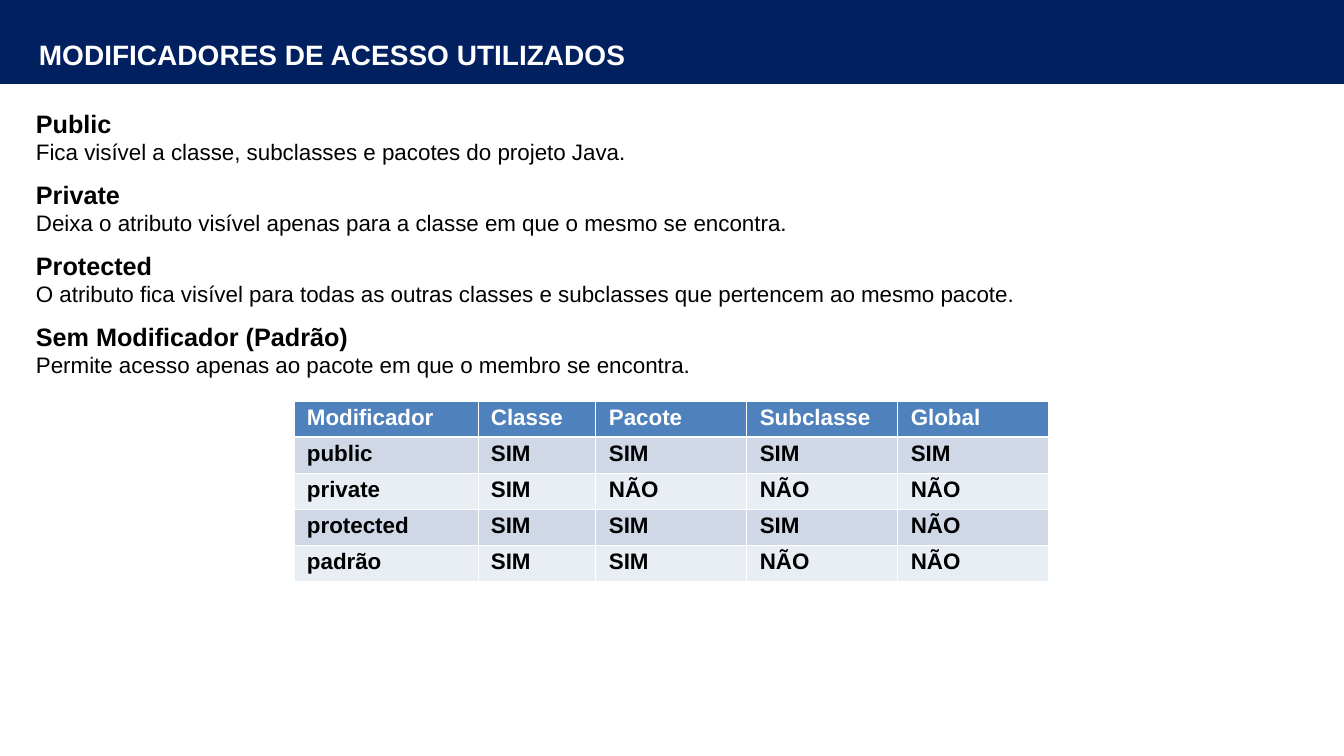
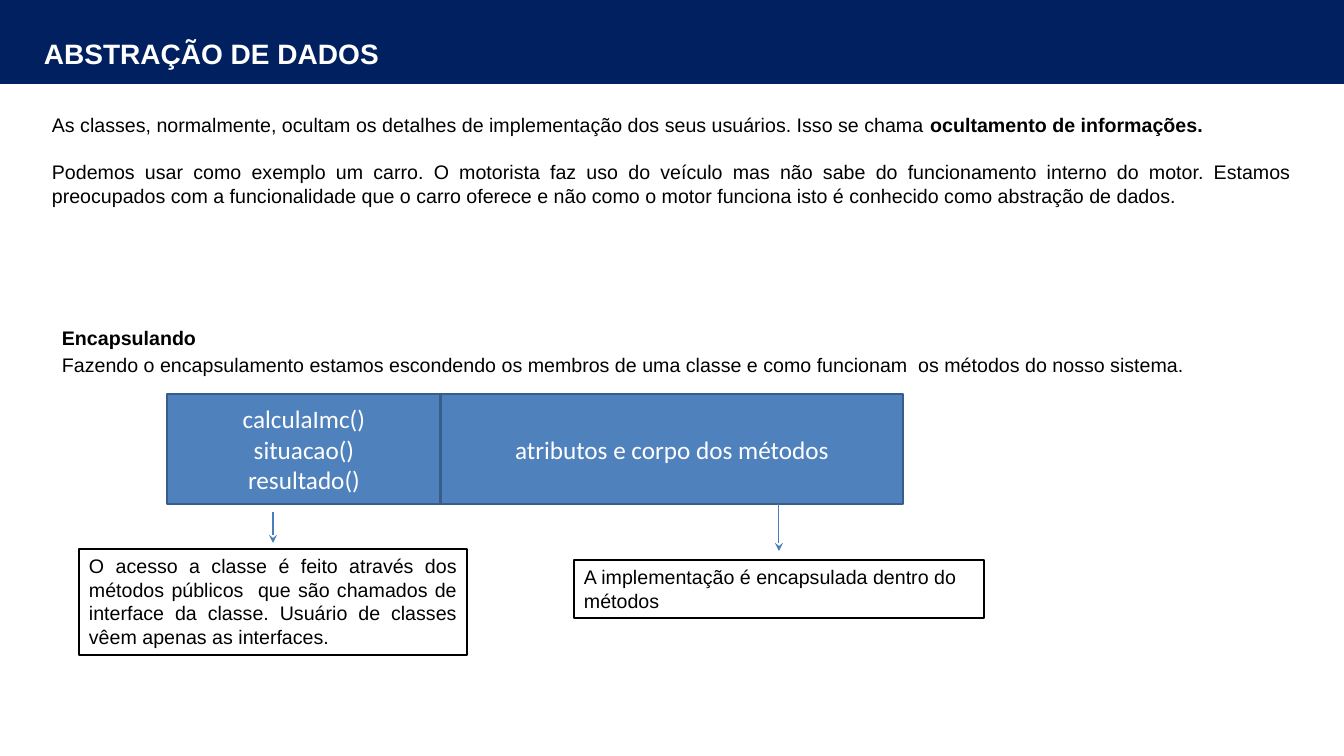
from dataclasses import dataclass

from lxml.etree import SubElement
from pptx import Presentation
from pptx.dml.color import RGBColor as Rgb
from pptx.enum.shapes import MSO_CONNECTOR as Conn, MSO_SHAPE as Kind
from pptx.enum.text import MSO_ANCHOR as Anchor, PP_ALIGN as Align
from pptx.oxml.ns import qn
from pptx.slide import Slide
from pptx.text.text import TextFrame as Frame
from pptx.util import Emu, Pt

SCALE = 914400 / 100.8
WIDE, HIGH = 1344, 756
BAND = 84
HUES = {
    "navy": "002060", "blue": "4F81BD", "edge": "385D8A", "arrow": "4A7EBB",
    "dark": "D0D8E8", "pale": "E9EDF4", "white": "FFFFFF", "black": "000000",
}


@dataclass(frozen=True)
class Area:
    """A place on the slide, in pixels."""
    x: int
    y: int
    w: int
    h: int


@dataclass(frozen=True)
class Style:
    """How a block of text looks."""
    size: int = 14
    hue: str = "black"
    bold: bool = False
    font: str = "Arial"
    align: Align = Align.LEFT
    anchor: Anchor = Anchor.TOP
    before: int = 0
    lead: float = 1.0


@dataclass(frozen=True)
class Box:
    """A filled rectangle with text."""
    area: Area
    text: str
    fill: str
    edge: str
    style: Style


@dataclass(frozen=True)
class Arrow:
    """A downward arrow."""
    x: int
    top: int
    end: int


PLAIN = Style()
EVEN = Style(align=Align.JUSTIFY)
TITLE = Style(20, "white", True, anchor=Anchor.MIDDLE)
BODY = Style(16, before=10)
HEAD = Style(16, "white", True, lead=0.93)
CELL = Style(16, bold=True, lead=0.93)
PART = Style(18, "white", font="Calibri", align=Align.CENTER, anchor=Anchor.MIDDLE)

TERMS = (
    ("Public", "Fica visível a classe, subclasses e pacotes do projeto Java."),
    ("Private", "Deixa o atributo visível apenas para a classe em que o mesmo se encontra."),
    ("Protected", "O atributo fica visível para todas as outras classes e subclasses "
                  "que pertencem ao mesmo pacote."),
    ("Sem Modificador (Padrão)", "Permite acesso apenas ao pacote em que o membro se encontra."),
)
COLS = (184, 118, 151, 151, 151)
ROWS = (29, 32, 32, 32, 32)
DATA = (
    ("Modificador", "Classe", "Pacote", "Subclasse", "Global"),
    ("public", "SIM", "SIM", "SIM", "SIM"),
    ("private", "SIM", "NÃO", "NÃO", "NÃO"),
    ("protected", "SIM", "SIM", "SIM", "NÃO"),
    ("padrão", "SIM", "SIM", "NÃO", "NÃO"),
)
BOXES = (
    Box(Area(167, 394, 274, 110), "calculaImc()\nsituacao()\nresultado()",
        "blue", "edge", PART),
    Box(Area(441, 394, 462, 110), "atributos e corpo dos métodos", "blue", "edge", PART),
    Box(Area(79, 549, 388, 106),
        "O acesso a classe é feito através dos métodos públicos  que são chamados de "
        "interface da classe. Usuário de classes vêem apenas as interfaces.",
        "white", "black", EVEN),
    Box(Area(574, 560, 410, 58), "A implementação é encapsulada dentro do métodos",
        "white", "black", PLAIN),
)
ARROWS = (Arrow(273, 512, 543), Arrow(779, 504, 551))


def px(size: float) -> Emu:
    """Turn pixels into EMU."""
    return Emu(round(size * SCALE))


def rgb(hue: str) -> Rgb:
    """Look up a colour."""
    return Rgb.from_string(HUES[hue])


def spot(area: Area) -> tuple[Emu, Emu, Emu, Emu]:
    """Give an area in EMU."""
    return px(area.x), px(area.y), px(area.w), px(area.h)


def write(frame: Frame, text: str, style: Style) -> None:
    """Fill a frame and format its runs."""
    frame.text = text
    for para in frame.paragraphs:
        para.alignment = style.align
        para.space_before = Pt(style.before)
        para.line_spacing = style.lead
        for run in para.runs:
            font = run.font
            font.name, font.size, font.bold = style.font, Pt(style.size), style.bold
            font.color.rgb = rgb(style.hue)


def label(slide: Slide, area: Area, text: str, style: Style) -> Frame:
    """Add a wrapped text box."""
    frame = slide.shapes.add_textbox(*spot(area)).text_frame
    frame.word_wrap = True
    frame.vertical_anchor = style.anchor
    write(frame, text, style)
    return frame


def block(slide: Slide, box: Box) -> None:
    """Add a box with its outline and text."""
    shape = slide.shapes.add_shape(Kind.RECTANGLE, *spot(box.area))
    shape.shadow.inherit = False
    shape.fill.solid()
    shape.fill.fore_color.rgb = rgb(box.fill)
    shape.line.color.rgb = rgb(box.edge)
    shape.line.width = Pt(2)
    shape.text_frame.vertical_anchor = box.style.anchor
    write(shape.text_frame, box.text, box.style)


def point(slide: Slide, arrow: Arrow) -> None:
    """Add a thin arrow with a stealth head."""
    x = px(arrow.x)
    line = slide.shapes.add_connector(Conn.STRAIGHT, x, px(arrow.top), x, px(arrow.end))
    line.line.color.rgb = rgb("arrow")
    line.line.width = Pt(0.75)
    prop = line.element.spPr
    SubElement(prop.find(qn("a:ln")), qn("a:tailEnd"), type="stealth")
    SubElement(prop, qn("a:effectLst"))


def grid(slide: Slide, area: Area) -> None:
    """Add the table of access rights."""
    table = slide.shapes.add_table(len(ROWS), len(COLS), *spot(area)).table
    table.horz_banding = False
    for col, wide in zip(table.columns, COLS):
        col.width = px(wide)
    for r, (row, high) in enumerate(zip(table.rows, ROWS)):
        row.height = px(high)
        fill = "blue" if r == 0 else "dark" if r % 2 else "pale"
        for cell, text in zip(row.cells, DATA[r]):
            cell.margin_left = cell.margin_right = px(13)
            cell.margin_top, cell.margin_bottom = px(6), px(5)
            write(cell.text_frame, text, CELL if r else HEAD)
            for side in "LRTB":
                thick = (r, side) in ((0, "B"), (1, "T"))
                rule = SubElement(cell._tc.get_or_add_tcPr(), qn(f"a:ln{side}"),
                                  w=str(Pt(1.5 if thick else 0.75)))
                tint = SubElement(rule, qn("a:solidFill"))
                SubElement(tint, qn("a:srgbClr"), val=HUES["white"])
            cell.fill.solid()
            cell.fill.fore_color.rgb = rgb(fill)


def start(deck: Presentation, area: Area, title: str) -> Slide:
    """Add a blank slide with the band and title."""
    slide = deck.slides.add_slide(deck.slide_layouts[6])
    band = slide.shapes.add_shape(Kind.RECTANGLE, *spot(Area(0, 0, WIDE, BAND)))
    band.shadow.inherit = False
    band.fill.solid()
    band.fill.fore_color.rgb = rgb("navy")
    band.line.fill.background()
    label(slide, area, title, TITLE)
    return slide


def access(deck: Presentation) -> None:
    """Build the slide on access modifiers."""
    slide = start(deck, Area(29, 23, 808, 62), "MODIFICADORES DE ACESSO UTILIZADOS")
    text = "\n".join(f"{name}\v{note}" for name, note in TERMS)
    frame = label(slide, Area(26, 103, 1141, 283), text, BODY)
    for para in frame.paragraphs:
        name = para.runs[0].font
        name.size, name.bold = Pt(18), True
    grid(slide, Area(294, 401, sum(COLS), sum(ROWS)))


def hiding(deck: Presentation) -> None:
    """Build the slide on data abstraction."""
    slide = start(deck, Area(34, 31, 359, 44), "ABSTRAÇÃO DE DADOS")
    frame = label(slide, Area(42, 108, 1260, 34),
                  "As classes, normalmente, ocultam os detalhes de implementação dos "
                  "seus usuários. Isso se chama ", PLAIN)
    term = frame.paragraphs[0].add_run()
    term.text = "ocultamento de informações."
    term.font.name, term.font.size, term.font.bold = PLAIN.font, Pt(PLAIN.size), True
    term.font.color.rgb = rgb(PLAIN.hue)
    label(slide, Area(42, 155, 1260, 57),
          "Podemos usar como exemplo um carro. O motorista faz uso do veículo mas não "
          "sabe do funcionamento interno do motor. Estamos preocupados com a "
          "funcionalidade que o carro oferece e não como o motor funciona isto é "
          "conhecido como abstração de dados.", EVEN)
    frame = label(slide, Area(52, 317, 1249, 61),
                  "Encapsulando\nFazendo o encapsulamento estamos escondendo os membros "
                  "de uma classe e como funcionam  os métodos do nosso sistema.",
                  Style(align=Align.JUSTIFY, lead=1.15))
    frame.paragraphs[0].runs[0].font.bold = True
    for box in BOXES:
        block(slide, box)
    for arrow in ARROWS:
        point(slide, arrow)


def main() -> None:
    """Build and save the slides."""
    deck = Presentation()
    deck.slide_width, deck.slide_height = px(WIDE), px(HIGH)
    access(deck)
    hiding(deck)
    deck.save("out.pptx")


main()
